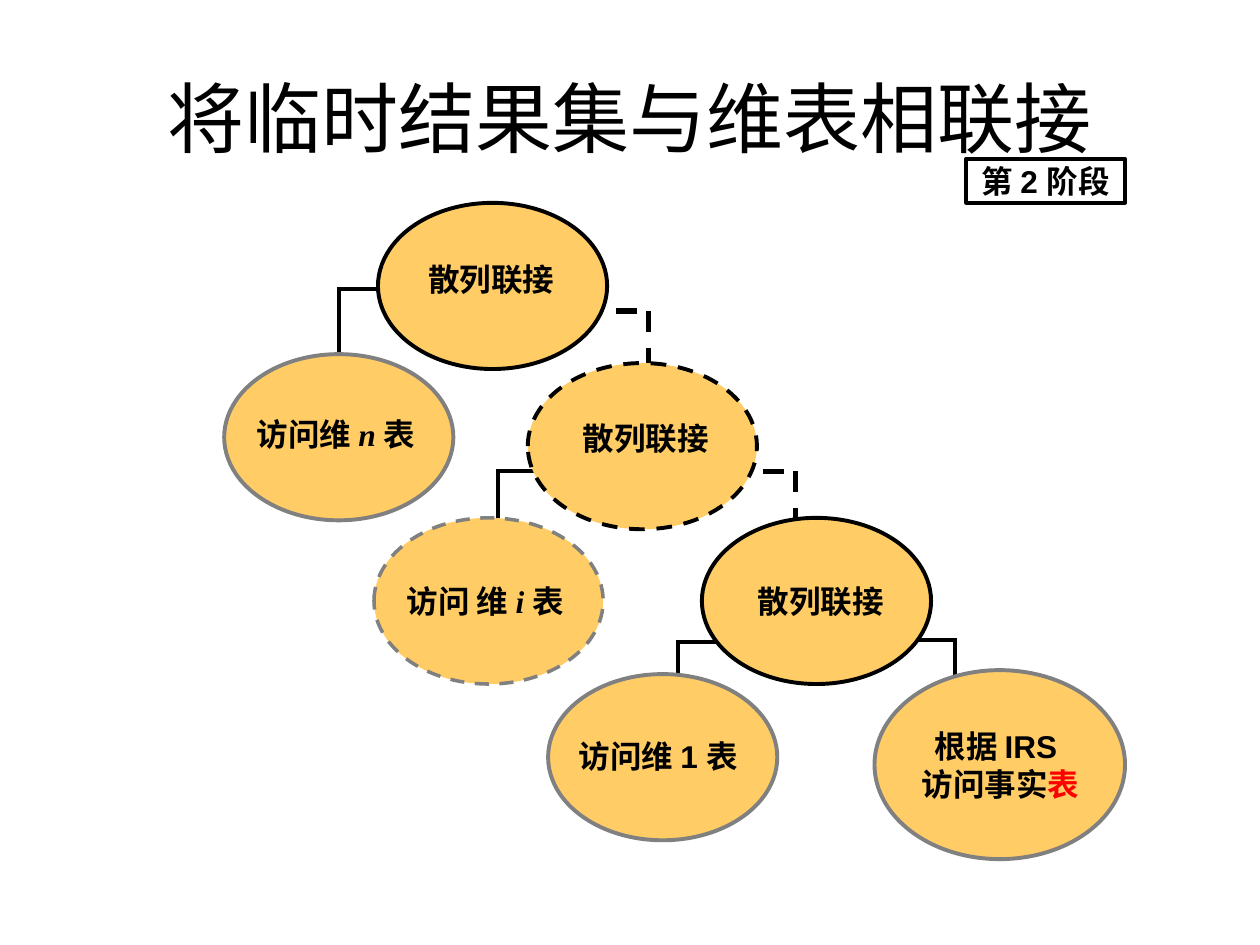
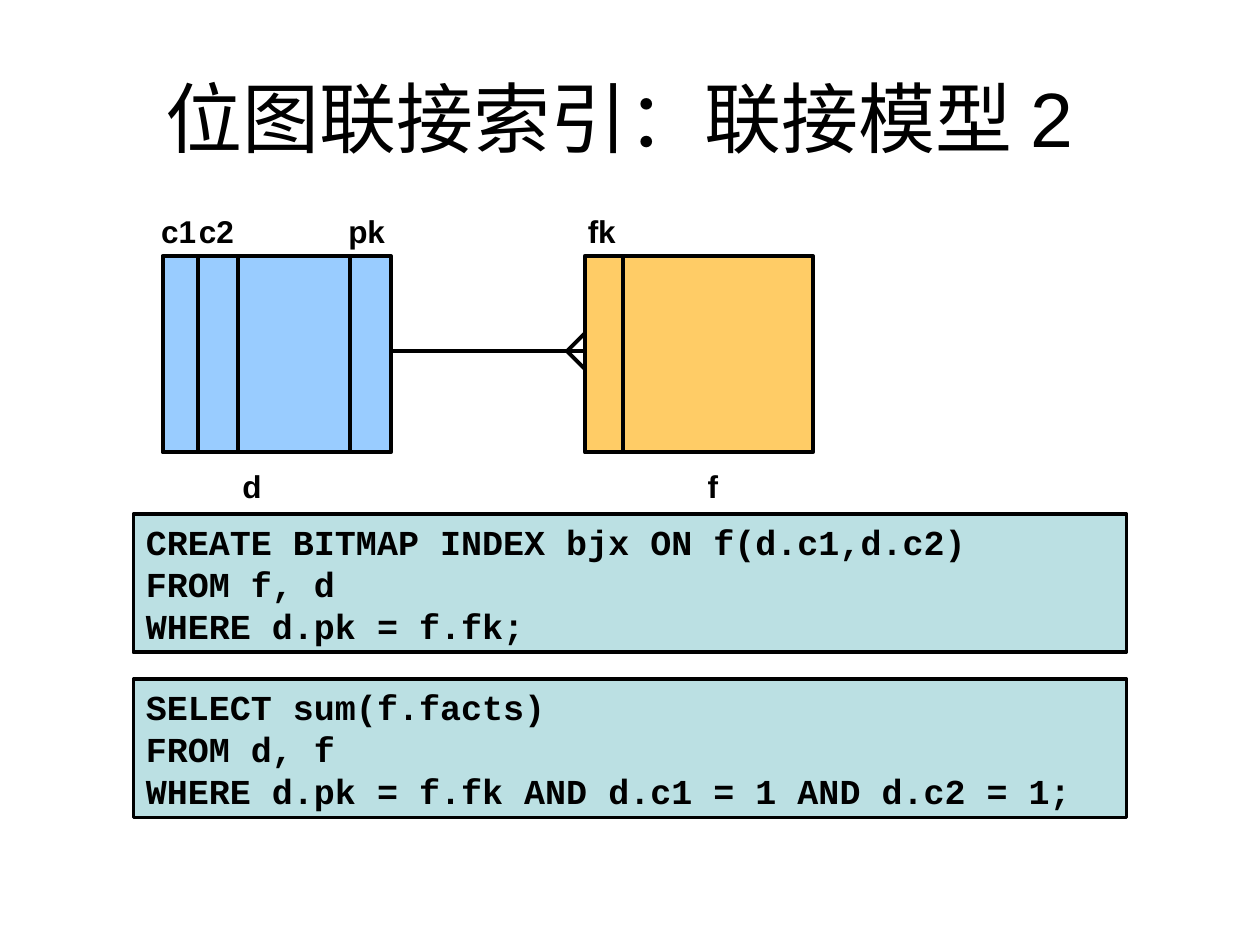
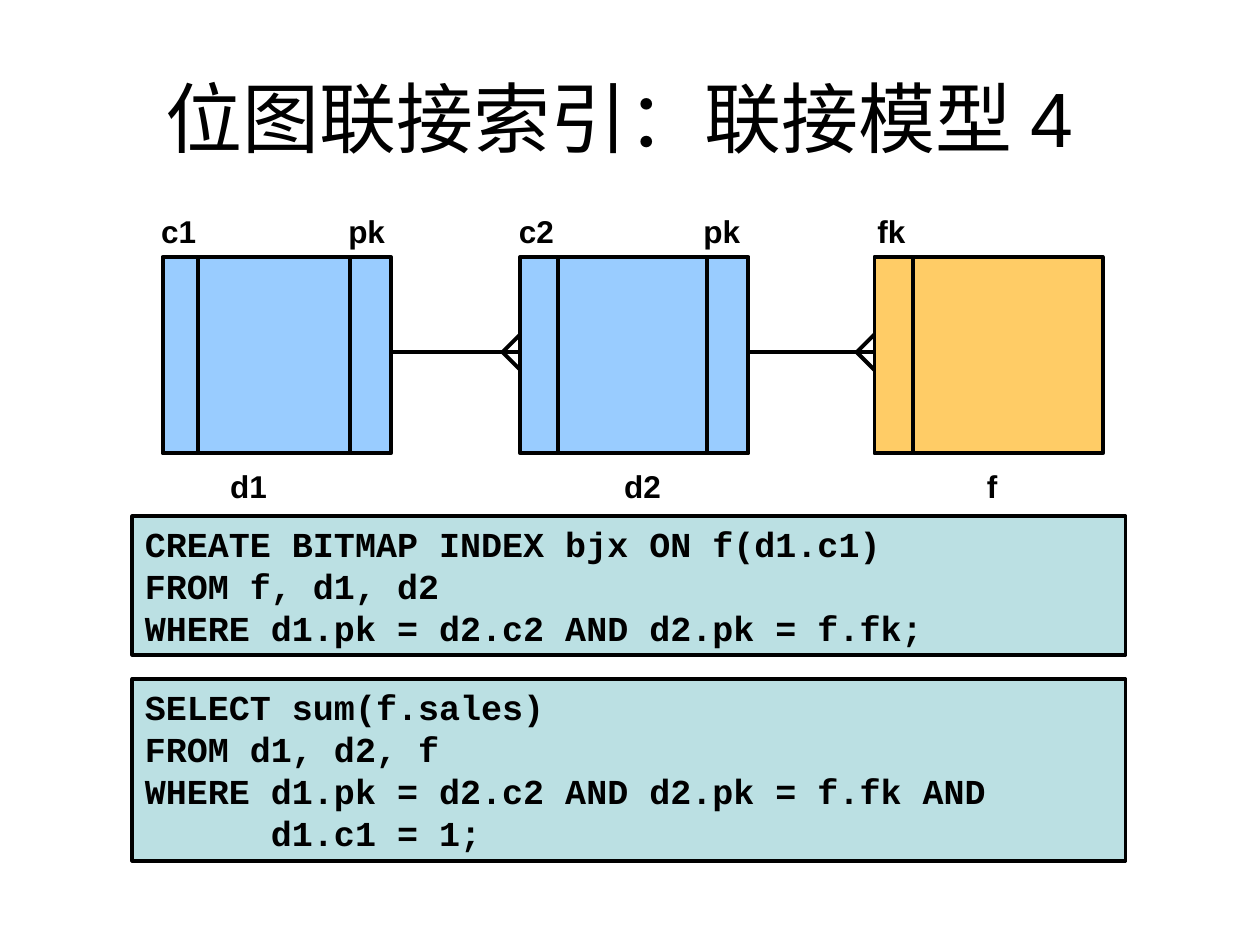
from dataclasses import dataclass
from itertools import pairwise
from typing import NamedTuple

from pptx import Presentation
from pptx.dml.color import RGBColor
from pptx.enum.dml import MSO_LINE
from pptx.enum.shapes import MSO_CONNECTOR, MSO_SHAPE
from pptx.enum.text import MSO_ANCHOR, MSO_AUTO_SIZE, PP_ALIGN
from pptx.oxml.xmlchemy import OxmlElement
from pptx.shapes.autoshape import Shape
from pptx.slide import Slide
from pptx.util import Cm, Pt

BLACK = RGBColor(0x00, 0x00, 0x00)
GREY = RGBColor(0x80, 0x80, 0x80)
RED = RGBColor(0xFF, 0x00, 0x00)
ORANGE = RGBColor(0xFF, 0xCC, 0x66)
BLUE = RGBColor(0x99, 0xCC, 0xFF)
TEAL = RGBColor(0xBB, 0xE0, 0xE3)

BODY_FONT = "Arial"
VARIABLE_FONT = "Times New Roman"
CODE_FONT = "Courier New"

LINE_WIDTH = 2.25
LABEL_HEIGHT = 0.84
ELLIPSE_WIDTH, ELLIPSE_HEIGHT = 4.62, 3.35
ELBOW_DROP = 1.57
ENTITY_WIDTH, ENTITY_HEIGHT = 4.6, 3.96
COLUMN_LABEL_TOP, ENTITY_NAME_TOP = 4.24, 9.38
LINK_DROP = 1.92
CROW_FOOT = 0.36
CODE_WIDTH = 20.02


class Box(NamedTuple):
    """Left, top, width and height in centimetres."""
    left: float
    top: float
    width: float
    height: float

    def lengths(self) -> list[Cm]:
        return [Cm(value) for value in self]


class Run(NamedTuple):
    text: str
    color: RGBColor = BLACK
    font: str | None = None
    italic: bool = False


Line = str | list[Run]


@dataclass
class Node:
    ellipse: Box
    label: Box
    lines: list[Line]
    outline: RGBColor = BLACK
    dashed: bool = False
    outline_width: float = LINE_WIDTH


class Elbow(NamedTuple):
    start: float
    corner: float
    top: float
    dashed: bool = False


class Column(NamedTuple):
    """A key column; divider and label centre are measured from the entity's left."""
    label: str
    divider: float
    label_center: float
    label_width: float = 0.97


@dataclass
class Entity:
    name: str
    left: float
    name_center: float
    name_width: float
    columns: list[Column]
    fill: RGBColor = BLUE


class CodeBox(NamedTuple):
    top: float
    height: float
    lines: list[str]


@dataclass
class JoinModel:
    title: str
    top: float
    entities: list[Entity]
    code_left: float
    code_outline: float
    code_boxes: list[CodeBox]


def variable(name: str) -> Run:
    return Run(f"{name} ", font=VARIABLE_FONT, italic=True)


def ellipse_at(left: float, top: float) -> Box:
    return Box(left, top, ELLIPSE_WIDTH, ELLIPSE_HEIGHT)


def label_at(left: float, top: float, width: float, rows: int = 1) -> Box:
    return Box(left, top, width, LABEL_HEIGHT if rows == 1 else 1.6)


NODES = [
    Node(ellipse_at(7.62, 4.09), label_at(8.59, 5.21, 2.77), ["散列联接 "]),
    Node(ellipse_at(4.52, 7.14), label_at(4.98, 8.33, 3.73),
         [[Run("访问维 "), variable("n"), Run("表 ")]], GREY),
    Node(ellipse_at(10.64, 7.32), label_at(11.71, 8.41, 2.62), ["散列联接"], dashed=True),
    Node(ellipse_at(7.54, 10.44), label_at(8, 11.71, 3.71),
         [[Run("访问 维 "), variable("i"), Run("表 ")]], GREY, True, 2),
    Node(ellipse_at(14.15, 10.44), label_at(15.24, 11.71, 2.62), ["散列联接"]),
    Node(ellipse_at(11.05, 13.59), label_at(11.48, 14.83, 3.73), ["访问维 1 表 "], GREY),
    Node(Box(17.63, 13.51, 5.05, 3.81), label_at(18.54, 14.63, 3.25, rows=2),
         ["根据 IRS ", [Run("访问事实"), Run("表", RED)]], GREY),
]

ELBOWS = [
    Elbow(17.86, 19.25, 12.9),
    Elbow(14.63, 16.03, 9.5, True),
    Elbow(11.68, 13.08, 6.27, True),
    Elbow(14.48, 13.67, 12.95),
    Elbow(10.87, 10.03, 9.5),
    Elbow(7.65, 6.83, 5.82),
]

FIRST_COLUMN = Column("c1 ", 0.71, 0.41)
PRIMARY_KEY = Column("pk ", 3.78, 4.2, 0.99)
FOREIGN_KEY = Column("fk ", 0.77, 0.43, 0.81)

JOIN_MODELS = [
    JoinModel(
        "位图联接索引：联接模型 2 ", 5.16,
        [
            Entity("d", 3.28, 1.8, 0.46,
                   [FIRST_COLUMN, Column("c2 ", 1.52, 1.17), PRIMARY_KEY]),
            Entity("f", 11.79, 2.58, 0.28, [FOREIGN_KEY], ORANGE),
        ],
        2.69, 2,
        [
            CodeBox(10.36, 2.79, [
                "CREATE BITMAP INDEX bjx ON f(d.c1,d.c2)",
                "FROM f, d",
                "WHERE d.pk = f.fk;",
            ]),
            CodeBox(13.69, 2.79, [
                "SELECT sum(f.facts)",
                "FROM d, f",
                "WHERE d.pk = f.fk AND d.c1 = 1 AND d.c2 = 1;",
            ]),
        ],
    ),
    JoinModel(
        "位图联接索引：联接模型 4 ", 5.18,
        [
            Entity("d1 ", 3.28, 1.82, 0.99, [FIRST_COLUMN, PRIMARY_KEY]),
            Entity("d2 ", 10.49, 2.55, 0.99,
                   [Column("c2 ", 0.76, 0.41), Column("pk ", 3.76, 4.15, 0.99)]),
            Entity("f", 17.63, 2.37, 0.28, [FOREIGN_KEY], ORANGE),
        ],
        2.67, LINE_WIDTH,
        [
            CodeBox(10.41, 2.79, [
                "CREATE BITMAP INDEX bjx ON f(d1.c1)",
                "FROM f, d1, d2",
                "WHERE d1.pk = d2.c2 AND d2.pk = f.fk;",
            ]),
            CodeBox(13.69, 3.66, [
                "SELECT sum(f.sales)",
                "FROM d1, d2, f",
                "WHERE d1.pk = d2.c2 AND d2.pk = f.fk AND",
                "      d1.c1 = 1;",
            ]),
        ],
    ),
]


def write_text(shape: Shape, lines: list[Line], *, size: float = 18,
               font: str = BODY_FONT, bold: bool = True,
               align: PP_ALIGN = PP_ALIGN.CENTER,
               anchor: MSO_ANCHOR = MSO_ANCHOR.TOP, wrap: bool = False,
               grow: bool = False, insets: tuple[float, float] = (0.25, 0.13)) -> None:
    frame = shape.text_frame
    frame.word_wrap = wrap
    frame.auto_size = MSO_AUTO_SIZE.SHAPE_TO_FIT_TEXT if grow else MSO_AUTO_SIZE.NONE
    frame.vertical_anchor = anchor
    frame.margin_left = frame.margin_right = Cm(insets[0])
    frame.margin_top = frame.margin_bottom = Cm(insets[1])
    for index, line in enumerate(lines):
        paragraph = frame.add_paragraph() if index else frame.paragraphs[0]
        paragraph.alignment = align
        for part in [Run(line)] if isinstance(line, str) else line:
            run = paragraph.add_run()
            run.text = part.text
            run.font.name = part.font or font
            run.font.size = Pt(size)
            run.font.bold = bold
            run.font.italic = part.italic
            run.font.color.rgb = part.color


def add_label(slide: Slide, box: Box, lines: list[Line]) -> None:
    label = slide.shapes.add_textbox(*box.lengths())
    write_text(label, lines, grow=True, insets=(0.03, 0.03))


def add_outlined_shape(slide: Slide, kind: MSO_SHAPE, box: Box, *,
                       fill: RGBColor | None = None, outline: RGBColor = BLACK,
                       width: float = LINE_WIDTH, dashed: bool = False) -> Shape:
    shape = slide.shapes.add_shape(kind, *box.lengths())
    shape.shadow.inherit = False
    if fill is None:
        shape.fill.background()
    else:
        shape.fill.solid()
        shape.fill.fore_color.rgb = fill
    shape.line.color.rgb = outline
    shape.line.width = Pt(width)
    if dashed:
        shape.line.dash_style = MSO_LINE.DASH
    return shape


def add_line(slide: Slide, start: tuple[float, float], end: tuple[float, float],
             dashed: bool = False) -> None:
    ends = [Cm(value) for value in (*start, *end)]
    connector = slide.shapes.add_connector(MSO_CONNECTOR.STRAIGHT, *ends)
    connector.line.color.rgb = BLACK
    connector.line.width = Pt(3 if dashed else LINE_WIDTH)
    if dashed:
        connector.line.dash_style = MSO_LINE.DASH
    connector._element.spPr.append(OxmlElement("a:effectLst"))


def add_titled_slide(presentation: Presentation, title: str) -> Slide:
    slide = presentation.slides.add_slide(presentation.slide_layouts[5])
    placeholder = slide.shapes.title
    placeholder.left, placeholder.top, placeholder.width, placeholder.height = Box(
        1.27, 0.76, 22.86, 3.18).lengths()
    write_text(placeholder, [title], size=44, bold=False,
               anchor=MSO_ANCHOR.MIDDLE, wrap=True)
    return slide


def add_elbow(slide: Slide, elbow: Elbow) -> None:
    overhang = 0.04 if elbow.corner > elbow.start else -0.04
    add_line(slide, (elbow.start, elbow.top), (elbow.corner + overhang, elbow.top),
             elbow.dashed)
    add_line(slide, (elbow.corner, elbow.top), (elbow.corner, elbow.top + ELBOW_DROP),
             elbow.dashed)


def add_node(slide: Slide, node: Node) -> None:
    add_outlined_shape(slide, MSO_SHAPE.OVAL, node.ellipse, fill=ORANGE,
                       outline=node.outline, width=node.outline_width,
                       dashed=node.dashed)
    add_label(slide, node.label, node.lines)


def add_entity(slide: Slide, entity: Entity, top: float) -> None:
    box = Box(entity.left, top, ENTITY_WIDTH, ENTITY_HEIGHT)
    add_outlined_shape(slide, MSO_SHAPE.RECTANGLE, box, fill=entity.fill)

    def add_centered_label(text: str, center: float, label_top: float, width: float) -> None:
        left = entity.left + center - width / 2
        add_label(slide, label_at(left, label_top, width), [text])

    for column in entity.columns:
        divider = entity.left + column.divider
        add_line(slide, (divider, top), (divider, top + ENTITY_HEIGHT))
        add_centered_label(column.label, column.label_center, COLUMN_LABEL_TOP,
                           column.label_width)
    add_centered_label(entity.name, entity.name_center, ENTITY_NAME_TOP, entity.name_width)


def add_crow_foot(slide: Slide, tip: float, middle: float) -> None:
    for rise in (CROW_FOOT, -CROW_FOOT):
        add_line(slide, (tip - CROW_FOOT, middle), (tip, middle + rise))


def add_hash_join_slide(presentation: Presentation) -> None:
    slide = add_titled_slide(presentation, "将临时结果集与维表相联接")
    for elbow in ELBOWS:
        add_elbow(slide, elbow)
    for node in NODES:
        add_node(slide, node)
    phase = add_outlined_shape(slide, MSO_SHAPE.RECTANGLE, Box(19.48, 3.2, 3.2, 0.89))
    write_text(phase, ["第 2 阶段"], anchor=MSO_ANCHOR.MIDDLE)


def add_join_model_slide(presentation: Presentation, model: JoinModel) -> None:
    slide = add_titled_slide(presentation, model.title)
    middle = model.top + LINK_DROP
    for parent, child in pairwise(model.entities):
        add_line(slide, (parent.left + ENTITY_WIDTH, middle), (child.left, middle))
    for entity in model.entities:
        add_entity(slide, entity, model.top)
    for child in model.entities[1:]:
        add_crow_foot(slide, child.left, middle)
    for code in model.code_boxes:
        box = Box(model.code_left, code.top, CODE_WIDTH, code.height)
        shape = add_outlined_shape(slide, MSO_SHAPE.RECTANGLE, box, fill=TEAL,
                                   width=model.code_outline)
        write_text(shape, code.lines, size=20, font=CODE_FONT, align=PP_ALIGN.LEFT,
                   wrap=True, grow=True)


def main() -> None:
    presentation = Presentation()
    presentation.slide_width, presentation.slide_height = Cm(25.4), Cm(19.05)
    add_hash_join_slide(presentation)
    for model in JOIN_MODELS:
        add_join_model_slide(presentation, model)
    presentation.save("out.pptx")


if __name__ == "__main__":
    main()
